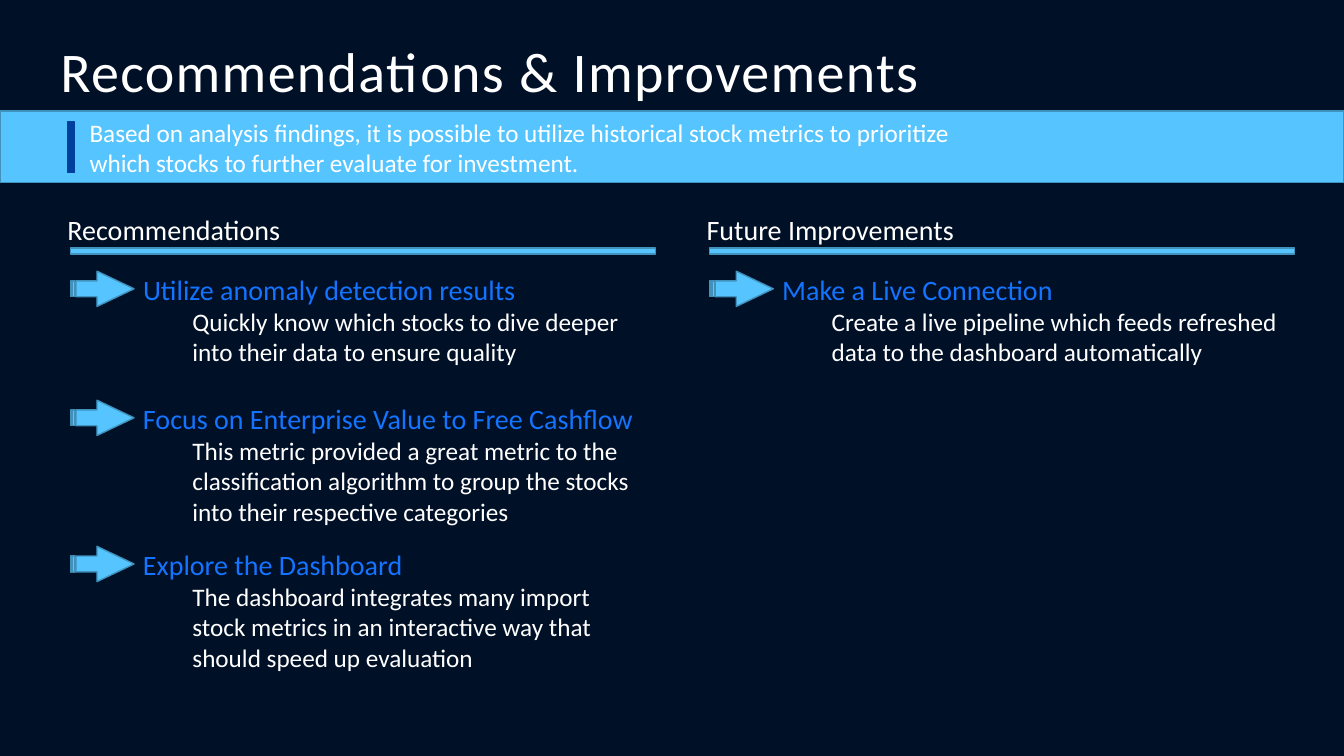
import pptx
import pptx.util
import pptx.dml.color
import pptx.enum.shapes
import pptx.enum.text
from dataclasses import dataclass

TITLE = "Recommendations & Improvements"
SUMMARY = ("Based on analysis findings, it is possible to utilize historical stock metrics "
           "to prioritize which stocks to further evaluate for investment.")
COLUMNS = [
    ("Recommendations", [
        (2.69, 4.69, 2, "Utilize anomaly detection results",
         "Quickly know which stocks to dive deeper into their data to ensure quality"),
        (3.97, 5.17, 3, "Focus on Enterprise Value to Free Cashflow",
         "This metric provided a great metric to the classification algorithm "
         "to group the stocks into their respective categories"),
        (5.42, 5.17, 3, "Explore the Dashboard",
         "The dashboard integrates many import stock metrics in an interactive way "
         "that should speed up evaluation"),
    ]),
    ("Future Improvements", [
        (2.69, 4.69, 2, "Make a Live Connection",
         "Create a live pipeline which feeds refreshed data to the dashboard automatically"),
    ]),
]

Inches = pptx.util.Inches
Shapes = pptx.enum.shapes.MSO_SHAPE
Anchor = pptx.enum.text.MSO_ANCHOR
AutoSize = pptx.enum.text.MSO_AUTO_SIZE
Align = pptx.enum.text.PP_ALIGN


@dataclass(frozen=True)
class Theme:
    font: str = "Calibri"
    background: str = "001027"
    text: str = "FFFFFF"
    heading: str = "1474FF"
    accent: str = "56C5FF"
    outline: str = "4092BD"
    marker: str = "00409D"
    title_size: int = 40
    heading_size: int = 20
    body_size: int = 18


THEME = Theme()
COLUMN_STEP = 6.34
BODY_INDENT = 0.49
LINE_HEIGHT = 0.3


def color(value):
    return pptx.dml.color.RGBColor.from_string(value)


def apply(target, values):
    for name, value in values.items():
        setattr(target, name, value)


def write(box, text, size, tone=THEME.text, spacing=None, grow=False, anchor=Anchor.TOP):
    apply(box.text_frame, {
        "word_wrap": True,
        "vertical_anchor": anchor,
        "auto_size": AutoSize.SHAPE_TO_FIT_TEXT if grow else AutoSize.NONE,
    })
    para = box.text_frame.paragraphs[0]
    apply(para, {"alignment": Align.LEFT, "line_spacing": spacing})
    span = para.add_run()
    span.text = text
    apply(span.font, {"name": THEME.font, "size": pptx.util.Pt(size)})
    span.font.color.rgb = color(tone)
    return span


def add_text(page, place, text, size, **style):
    box = page.shapes.add_textbox(*map(Inches, place))
    write(box, text, size, **style)


def add_block(page, kind, place, fill=THEME.accent, line=THEME.outline):
    block = page.shapes.add_shape(kind, *map(Inches, place))
    block.shadow.inherit = False
    block.fill.solid()
    block.fill.fore_color.rgb = color(fill)
    block.line.color.rgb = color(line)
    block.line.width = pptx.util.Pt(1)
    return block


def add_item(page, left, item):
    top, width, lines, heading, body = item
    heading_left = left + 0.62
    add_text(page, (heading_left, top, width, 0.48), heading, THEME.heading_size,
             tone=THEME.heading, spacing=0.9)
    add_text(page, (heading_left + BODY_INDENT, top + 0.3, 4.69, 0.11 + LINE_HEIGHT * lines),
             body, THEME.body_size, grow=True)
    arrow = add_block(page, Shapes.STRIPED_RIGHT_ARROW, (left, top, 0.63, 0.35))
    arrow.adjustments[0] = 0.45
    arrow.adjustments[1] = 1.05


def add_header(page):
    title = page.shapes.title
    apply(title, dict(zip(("left", "top", "width", "height"),
                          map(Inches, (0.5, 0.36, 10, 0.75)))))
    span = write(title, TITLE, THEME.title_size, spacing=0.9, anchor=Anchor.MIDDLE)
    span.font._element.set("spc", "100")
    add_block(page, Shapes.RECTANGLE, (0, 1.1, 13.33, 0.71))
    add_text(page, (0.79, 1.11, 8.84, 0.71), SUMMARY, THEME.body_size, grow=True)
    add_block(page, Shapes.RECTANGLE, (0.67, 1.21, 0.07, 0.5), THEME.marker, THEME.marker)


def main():
    deck = pptx.Presentation()
    apply(deck, {"slide_width": Inches(13.33), "slide_height": Inches(7.5)})
    page = deck.slides.add_slide(deck.slide_layouts[5])
    page.background.fill.solid()
    page.background.fill.fore_color.rgb = color(THEME.background)
    add_header(page)
    for index, (heading, items) in enumerate(COLUMNS):
        left = 0.7 + COLUMN_STEP * index
        add_text(page, (left - 0.13, 2.1, 4.69, 0.48), heading, THEME.heading_size, spacing=0.9)
        add_block(page, Shapes.RECTANGLE, (left, 2.46, 5.8, 0.06))
        for item in items:
            add_item(page, left, item)
    deck.save("out.pptx")


if __name__ == "__main__":
    main()
